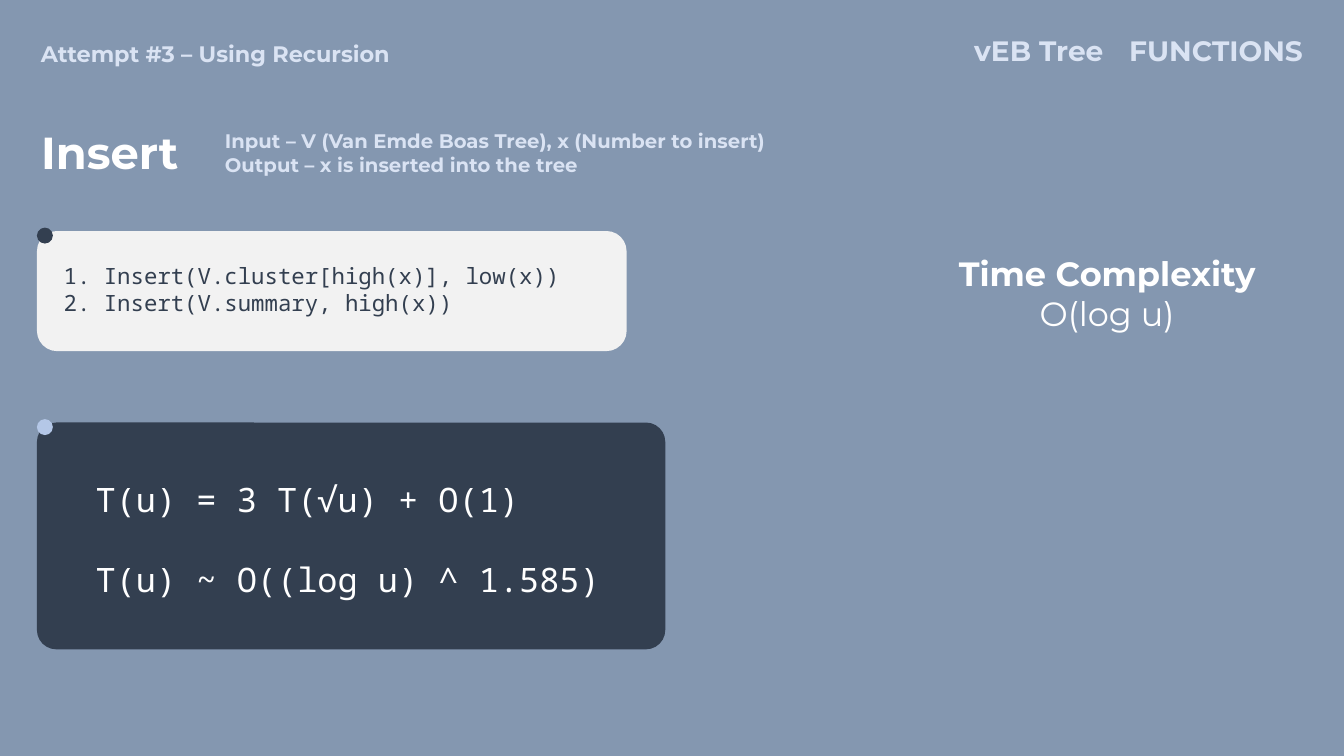
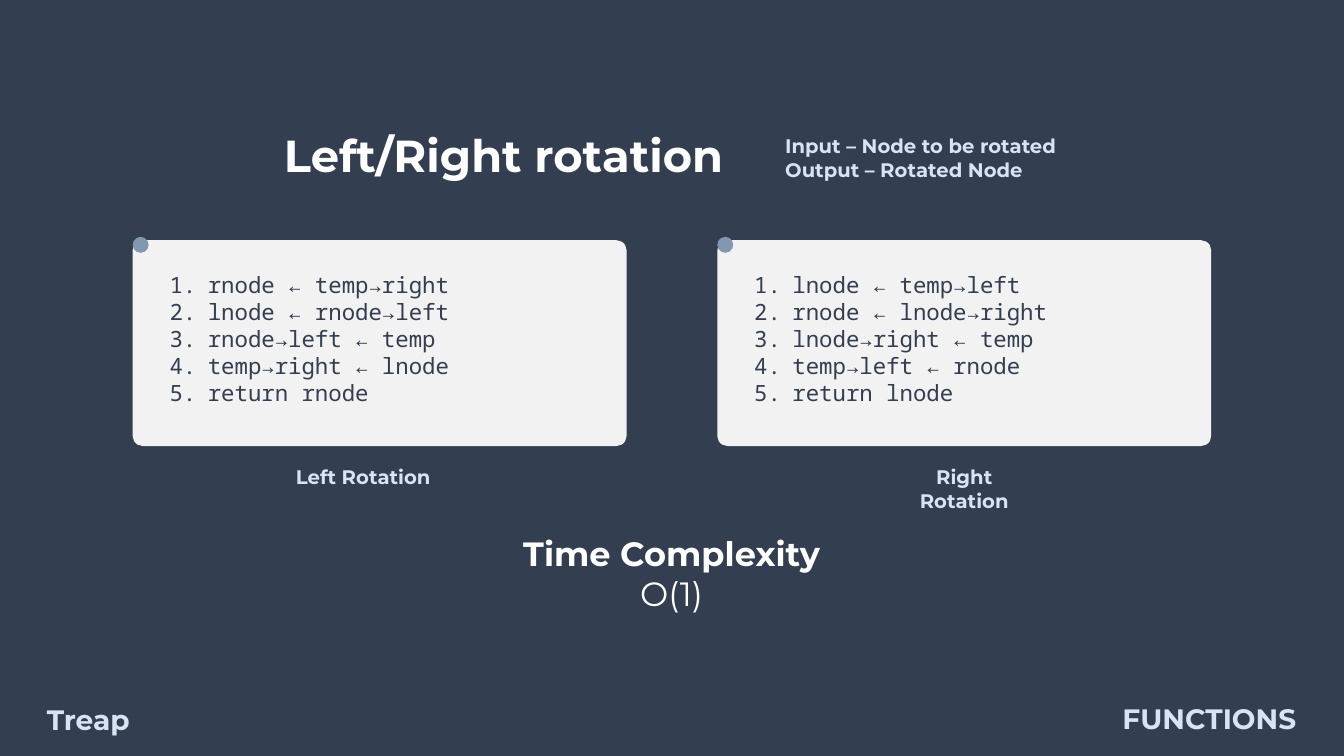
import dataclasses

import pptx
import pptx.dml.color
import pptx.enum.shapes
import pptx.enum.text
import pptx.oxml.ns
import pptx.util
from lxml import etree

ALIGN = pptx.enum.text.PP_ALIGN
SHAPES = pptx.enum.shapes.MSO_SHAPE
COLUMNS, ROWS = 16, 9
CELL = pptx.util.Inches(7.5 / ROWS)
DOT = 0.19
DOT_RISE = 0.04
TITLE_ONLY = 5


@dataclasses.dataclass(frozen=True)
class Theme:
    slate: str = "8497B0"
    navy: str = "333F50"
    paper: str = "F2F2F2"
    pale: str = "DAE3F3"
    sky: str = "B4C7E7"
    white: str = "FFFFFF"
    sans: str = "Montserrat"
    mono: str = "Noto Sans Mono"
    title: int = 32
    large: int = 24
    section: int = 20
    body: int = 16
    small: int = 14
    hanging: float = 0.38


THEME = Theme()


@dataclasses.dataclass(frozen=True)
class Box:
    """A rectangle measured in grid columns and rows."""
    left: float
    top: float
    width: float
    height: float

    def within(self, left, top, width, height):
        return Box(self.left + left, self.top + top, width, height)

    def inset(self, across, down):
        return self.within(across, down, self.width - 2 * across, self.height - 2 * down)

    def lengths(self):
        return [round(value * CELL) for value in (self.left, self.top, self.width, self.height)]


@dataclasses.dataclass(frozen=True)
class Style:
    size: int
    color: str
    font: str = THEME.sans
    bold: bool = True
    align: ALIGN = ALIGN.LEFT


TITLE = Style(THEME.title, THEME.white, align=ALIGN.JUSTIFY)
SECTION = Style(THEME.section, THEME.pale)
SECTION_RIGHT = dataclasses.replace(SECTION, align=ALIGN.RIGHT)
ATTEMPT = Style(THEME.body, THEME.pale)
NOTE = Style(THEME.small, THEME.pale)
CAPTION = dataclasses.replace(NOTE, align=ALIGN.CENTER)
HEADING = Style(THEME.large, THEME.white, align=ALIGN.CENTER)
VALUE = dataclasses.replace(HEADING, bold=False)
CODE = Style(THEME.body, THEME.navy, THEME.mono, False)
FORMULA = Style(THEME.large, THEME.white, THEME.mono, False)


def rgb(color):
    return pptx.dml.color.RGBColor.from_string(color)


def number(para):
    """Turn a paragraph into an item of an automatically numbered list."""
    properties = para._p.get_or_add_pPr()
    indent = pptx.util.Inches(THEME.hanging)
    properties.set("marL", str(indent))
    properties.set("indent", str(-indent))
    bullet = etree.SubElement(properties, pptx.oxml.ns.qn("a:buAutoNum"))
    bullet.set("type", "arabicPeriod")


def write(frame, lines, numbered=False, gap=0):
    """Fill a text frame with (text, style) lines, gap points apart."""
    frame.word_wrap = True
    frame.auto_size = pptx.enum.text.MSO_AUTO_SIZE.SHAPE_TO_FIT_TEXT
    frame.vertical_anchor = pptx.enum.text.MSO_ANCHOR.TOP
    for index, (text, style) in enumerate(lines):
        para = frame.add_paragraph() if index else frame.paragraphs[0]
        para.alignment = style.align
        if index and gap:
            para.space_before = pptx.util.Pt(gap)
        if numbered:
            number(para)
        span = para.add_run()
        span.text = text
        span.font.name = style.font
        span.font.size = pptx.util.Pt(style.size)
        span.font.bold = style.bold
        span.font.color.rgb = rgb(style.color)


def add_text(page, box, style, *texts, **options):
    frame = page.shapes.add_textbox(*box.lengths()).text_frame
    write(frame, [(text, style) for text in texts], **options)


def add_filled(page, kind, box, color):
    shape = page.shapes.add_shape(kind, *box.lengths())
    shape.shadow.inherit = False
    shape.fill.solid()
    shape.fill.fore_color.rgb = rgb(color)
    shape.line.fill.background()
    return shape


def add_page(deck, background, title, box):
    page = deck.slides.add_slide(deck.slide_layouts[TITLE_ONLY])
    page.background.fill.solid()
    page.background.fill.fore_color.rgb = rgb(background)
    heading = page.shapes.title
    heading.left, heading.top, heading.width, heading.height = box.lengths()
    write(heading.text_frame, [(title, TITLE)])
    return page


def add_card(page, box, radius, colors, inset, style, texts, **options):
    """Draw a rounded card with a dot on its corner and text inside."""
    card_color, dot_color = colors
    card = add_filled(page, SHAPES.ROUNDED_RECTANGLE, box, card_color)
    card.adjustments[0] = radius / box.height
    add_filled(page, SHAPES.OVAL, box.within(0, -DOT_RISE, DOT, DOT), dot_color)
    add_text(page, box.inset(*inset), style, *texts, **options)


def add_complexity(page, box, value):
    frame = page.shapes.add_textbox(*box.lengths()).text_frame
    write(frame, [("Time Complexity", HEADING), (value, VALUE)])


def add_section(page, topic, topic_box, functions_box):
    add_text(page, topic_box, SECTION, topic)
    add_text(page, functions_box, SECTION_RIGHT, "FUNCTIONS")


def build_insert(deck):
    page = add_page(deck, THEME.slate, "Insert", Box(0.37, 1.43, 4.48, 0.77))
    add_text(page, Box(0.37, 0.42, 5.62, 0.44), ATTEMPT, "Attempt #3 – Using Recursion")
    add_section(page, "vEB Tree", Box(11.48, 0.34, 1.79, 0.53), Box(13.21, 0.34, 2.42, 0.53))
    add_text(page, Box(2.56, 1.48, 8.47, 0.68), NOTE,
             "Input – V (Van Emde Boas Tree), x (Number to insert)",
             "Output – x is inserted into the tree")
    add_complexity(page, Box(10.82, 2.95, 4.72, 1.09), "O(log u)")
    add_card(page, Box(0.44, 2.75, 7.02, 1.43), 0.24, (THEME.paper, THEME.navy), (0.2, 0.31),
             CODE, ["1. Insert(V.cluster[high(x)], low(x))", "2. Insert(V.summary, high(x))"])
    add_card(page, Box(0.44, 5.03, 7.48, 2.7), 0.23, (THEME.navy, THEME.sky), (0.58, 0.61),
             FORMULA, ["T(u) = 3 T(√u) + O(1)", "T(u) ~ O((log u) ^ 1.585)"], gap=28.5)


def build_rotation(deck):
    page = add_page(deck, THEME.navy, "Left/Right rotation", Box(3.26, 1.46, 5.66, 0.77))
    add_text(page, Box(9.23, 1.54, 3.5, 0.68), NOTE,
             "Input – Node to be rotated", "Output – Rotated Node")
    add_complexity(page, Box(5.54, 6.28, 4.91, 1.09), "O(1)")
    add_section(page, "Treap", Box(0.44, 8.3, 1.79, 0.53), Box(13.13, 8.29, 2.42, 0.53))

    margin, width, height = 1.58, 5.88, 2.45
    rotations = [
        (margin, "Left Rotation", 1.79, 1.91,
         ["rnode ← temp→right", "lnode ← rnode→left", "rnode→left ← temp",
          "temp→right ← lnode", "return rnode"]),
        (COLUMNS - margin - width, "Right Rotation", 1.98, 1.92,
         ["lnode ← temp→left", "rnode ← lnode→right", "lnode→right ← temp",
          "temp→left ← rnode", "return lnode"]),
    ]
    for left, caption, caption_left, caption_width, steps in rotations:
        box = Box(left, 2.86, width, height)
        add_card(page, box, 0.12, (THEME.paper, THEME.slate), (0.32, 0.31),
                 CODE, steps, numbered=True)
        add_text(page, box.within(caption_left, 2.62, caption_width, 0.41), CAPTION, caption)


def main():
    deck = pptx.Presentation()
    deck.slide_width, deck.slide_height = COLUMNS * CELL, ROWS * CELL
    build_insert(deck)
    build_rotation(deck)
    deck.save("out.pptx")


if __name__ == "__main__":
    main()
